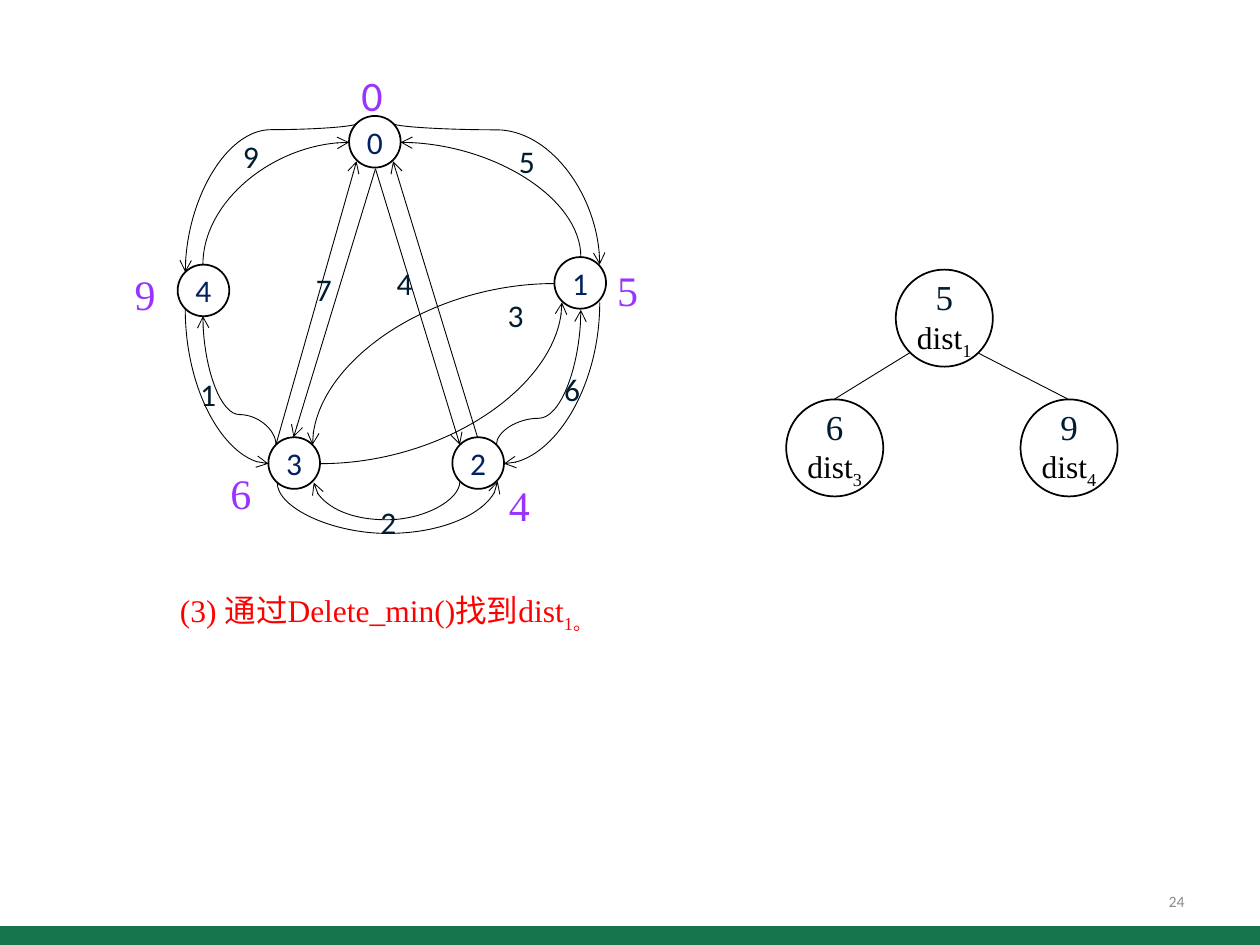
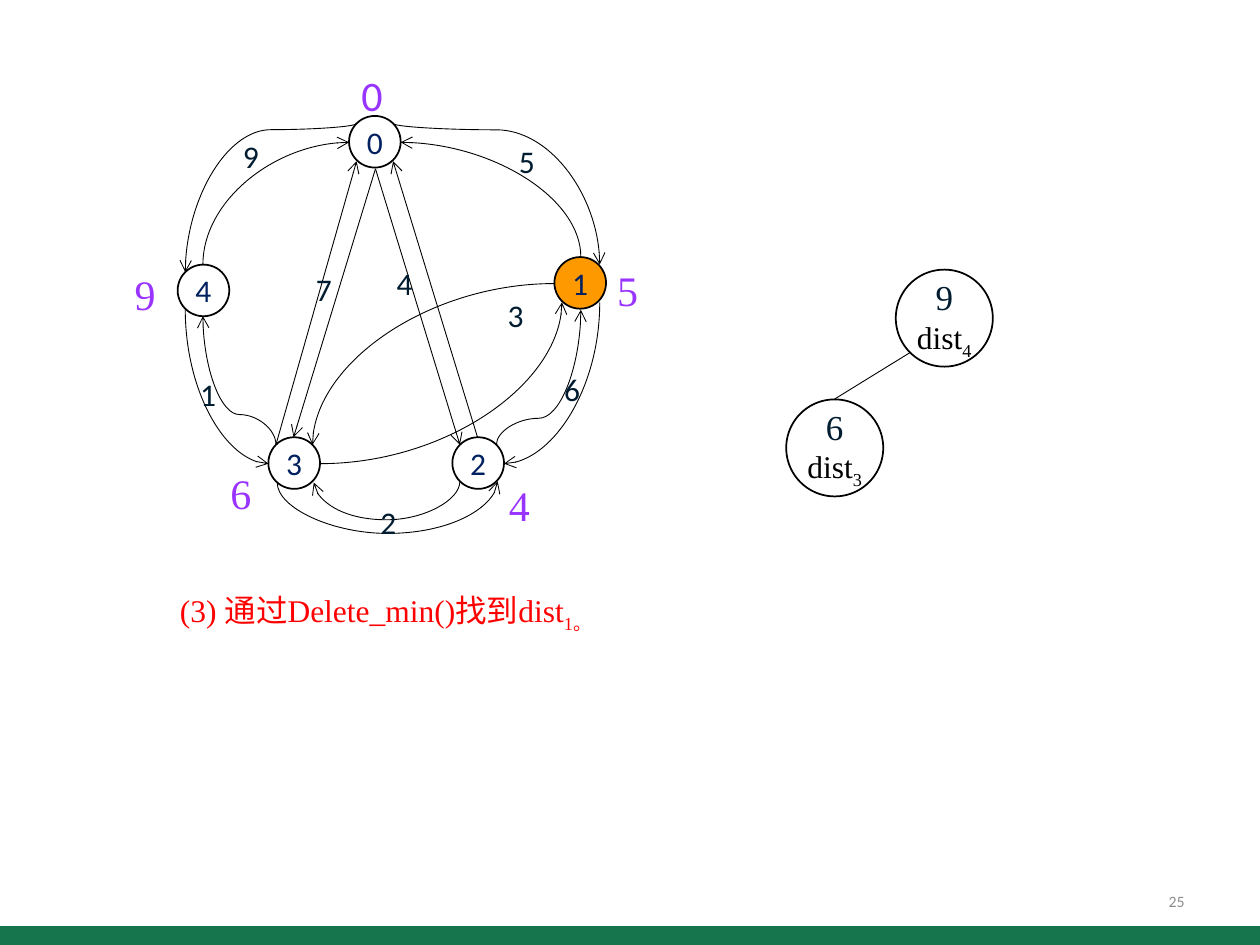
from lxml import etree
from pptx import Presentation
from pptx.dml.color import RGBColor
from pptx.enum.shapes import MSO_CONNECTOR, MSO_SHAPE
from pptx.enum.text import MSO_ANCHOR, PP_ALIGN
from pptx.oxml.ns import qn
from pptx.util import Inches, Pt

STRAIGHT, CURVE = MSO_CONNECTOR.STRAIGHT, MSO_CONNECTOR.CURVE
OVAL, RECTANGLE = MSO_SHAPE.OVAL, MSO_SHAPE.RECTANGLE
MIDDLE, TOP = MSO_ANCHOR.MIDDLE, MSO_ANCHOR.TOP
LEFT, CENTER, RIGHT = PP_ALIGN.LEFT, PP_ALIGN.CENTER, PP_ALIGN.RIGHT

BLACK = RGBColor(0x00, 0x00, 0x00)
GREEN = RGBColor(0x16, 0x75, 0x4D)
NAVY = RGBColor(0x00, 0x20, 0x60)
INK = RGBColor(0x00, 0x1C, 0x30)
PURPLE = RGBColor(0x99, 0x33, 0xFF)
RED = RGBColor(0xFF, 0x00, 0x00)
ORANGE = RGBColor(0xFF, 0x99, 0x00)
GREY = RGBColor(0x8C, 0x8C, 0x8C)

SANS, SERIF = "Calibri", "Times New Roman"
NODE_SIZE, HEAP_SIZE = 0.41, 0.77

# Graph vertices: label -> left, top
VERTICES = {"0": (2.77, 0.92), "4": (1.41, 2.1), "3": (2.13, 3.47),
            "2": (3.59, 3.47), "1": (4.4, 2.04)}

# Edge weights: text, left, top
WEIGHTS = [("9", 1.83, 1.04), ("5", 4.02, 1.08), ("4", 3.05, 2.05),
           ("7", 2.41, 2.09), ("1", 1.49, 2.93), ("2", 2.92, 3.94),
           ("3", 3.93, 2.3), ("6", 4.38, 2.89)]

# Tentative distances beside the vertices: text, left, top, font
DISTANCES = [("0", 2.77, 0.5, SANS), ("5", 4.8, 2.05, SERIF),
             ("4", 3.94, 3.76, SERIF), ("6", 1.73, 3.66, SERIF),
             ("9", 0.97, 2.08, SERIF)]

# Straight edges: start, end, end that carries the arrow
STRAIGHT_EDGES = [((3.65, 3.53), (2.98, 1.34), "head"),
                  ((2.33, 3.47), (2.98, 1.34), "head"),
                  ((2.19, 3.53), (2.83, 1.28), "tail"),
                  ((3.79, 3.47), (3.12, 1.28), "tail")]

# Quarter arcs: start, end, arrow end, whether they leave sideways
ARC_EDGES = [((2.13, 3.68), (1.47, 2.45), "head", True),
             ((4.76, 2.4), (4, 3.68), "tail", False),
             ((4.4, 2.25), (2.48, 3.53), "tail", True),
             ((4.46, 2.4), (2.54, 3.68), "head", False),
             ((2.77, 1.13), (1.61, 2.1), "head", True),
             ((4.61, 2.04), (3.18, 1.13), "tail", False)]

# Bends that leave and arrive vertically: start, end, arrow end, height of the bend
BEND_EDGES = [((2.83, 0.98), (1.47, 2.16), "tail", 1.03),
              ((4.76, 2.1), (3.12, 0.98), "head", 1.03),
              ((3.95, 3.82), (2.2, 3.83), "head", 4.24),
              ((3.65, 3.82), (2.49, 3.83), "tail", 4.13),
              ((2.19, 3.53), (1.61, 2.51), "tail", 3.29),
              ((4.61, 2.46), (3.94, 3.53), "head", 3.32)]

# Heap places (left, top) and the branch from each child to the root
ROOT, LEFT_CHILD, RIGHT_CHILD = (7.11, 2.14), (6.24, 3.17), (8.1, 3.17)
BRANCHES = {LEFT_CHILD: ((6.62, 3.17), (7.22, 2.8)),
            RIGHT_CHILD: ((8.48, 3.17), (7.76, 2.8))}


def add_run(paragraph, text, *, size=18, font=SANS, color=INK, subscript=False):
    run = paragraph.add_run()
    run.text = text
    run.font.size = Pt(size)
    run.font.name = font
    run.font.color.rgb = color
    if subscript:
        run.font._element.set("baseline", "-25000")


def add_text(slide, text, left, top, width, height, *, wrap=False,
             align=LEFT, anchor=TOP, **run_format):
    box = slide.shapes.add_textbox(Inches(left), Inches(top),
                                   Inches(width), Inches(height))
    frame = box.text_frame
    frame.word_wrap = wrap
    frame.vertical_anchor = anchor
    paragraph = frame.paragraphs[0]
    paragraph.alignment = align
    add_run(paragraph, text, **run_format)
    return paragraph


def add_circle(slide, place, size, fill=None):
    """Draw an outlined circle and return its centred paragraph."""
    left, top = place
    circle = slide.shapes.add_shape(OVAL, Inches(left), Inches(top),
                                    Inches(size), Inches(size))
    circle.shadow.inherit = False
    circle.line.color.rgb = BLACK
    circle.line.width = Pt(1)
    if fill is None:
        circle.fill.background()
    else:
        circle.fill.solid()
        circle.fill.fore_color.rgb = fill
    frame = circle.text_frame
    frame.margin_left = frame.margin_right = 0
    frame.margin_top = frame.margin_bottom = 0
    frame.word_wrap = False
    frame.vertical_anchor = MIDDLE
    paragraph = frame.paragraphs[0]
    paragraph.alignment = CENTER
    return paragraph


def add_line(slide, start, end, arrow=None, kind=STRAIGHT):
    line = slide.shapes.add_connector(kind, *map(Inches, (*start, *end)))
    line.line.color.rgb = BLACK
    line.line.width = Pt(0.5)
    properties = line._element.spPr
    etree.SubElement(properties, qn("a:effectLst"))
    if arrow:
        etree.SubElement(line.line._get_or_add_ln(), qn(f"a:{arrow}End"),
                         type="arrow", w="med", len="med")
    return properties


def add_curve(slide, start, end, arrow, *, sideways=False, bend=None):
    """Curve leftwards from start to end: a quarter arc, or an S with a bend."""
    (x1, y1), (x2, y2) = start, end
    width, height = abs(x2 - x1), abs(y2 - y1)
    if sideways:
        turn, flip = 180, y2 > y1
    else:
        turn, flip = (90, False) if y2 > y1 else (270, True)
        width, height = height, width
    left, top = (x1 + x2 - width) / 2, (y1 + y2 - height) / 2
    properties = add_line(slide, (left, top), (left + width, top + height),
                          arrow, CURVE)
    frame = properties.find(qn("a:xfrm"))
    frame.set("rot", str(turn * 60000))
    if flip:
        frame.set("flipV", "1")
    geometry = properties.find(qn("a:prstGeom"))
    if bend is None:
        geometry.set("prst", "curvedConnector2")
    else:
        share = round((bend - y1) / (y2 - y1) * 100000)
        etree.SubElement(geometry.find(qn("a:avLst")), qn("a:gd"),
                         name="adj1", fmla=f"val {share}")


def add_graph(slide, visited):
    for label, place in VERTICES.items():
        fill = ORANGE if label in visited else None
        add_run(add_circle(slide, place, NODE_SIZE, fill), label, color=NAVY)
    for start, end, arrow in STRAIGHT_EDGES:
        add_line(slide, start, end, arrow)
    for start, end, arrow, sideways in ARC_EDGES:
        add_curve(slide, start, end, arrow, sideways=sideways)
    for start, end, arrow, bend in BEND_EDGES:
        add_curve(slide, start, end, arrow, bend=bend)
    for weight, left, top in WEIGHTS:
        add_text(slide, weight, left, top, 0.34, 0.4)
    for distance, left, top, font in DISTANCES:
        add_text(slide, distance, left, top, 0.37, 0.5,
                 size=24, font=font, color=PURPLE)


def add_heap(slide, heap):
    """Draw the heap given as place -> (key, vertex)."""
    for place, (key, vertex) in heap.items():
        paragraph = add_circle(slide, place, HEAP_SIZE)
        add_run(paragraph, key, size=20, font=SERIF)
        paragraph.add_line_break()
        add_run(paragraph, "dist", font=SERIF, color=BLACK)
        add_run(paragraph, vertex, font=SERIF, color=BLACK, subscript=True)
        if place in BRANCHES:
            add_line(slide, *BRANCHES[place])


def add_footer(slide, number):
    band = slide.shapes.add_shape(RECTANGLE, 0, Inches(7.35),
                                  Inches(10), Inches(0.18))
    band.shadow.inherit = False
    band.fill.solid()
    band.fill.fore_color.rgb = GREEN
    band.line.fill.background()
    add_text(slide, str(number), 7.17, 6.95, 2.33, 0.4, wrap=True,
             align=RIGHT, anchor=MIDDLE, size=9, color=GREY)


def add_step(deck, number, heap, visited=()):
    slide = deck.slides.add_slide(deck.slide_layouts[6])
    add_footer(slide, number)
    add_graph(slide, visited)
    add_heap(slide, heap)
    caption = add_text(slide, "(3) 通过Delete_min()找到dist", 1.33, 4.64, 3.98, 0.4,
                       wrap=True, font=SERIF, color=RED)
    add_run(caption, "1。", font=SERIF, color=RED, subscript=True)


def main():
    deck = Presentation()
    deck.slide_width, deck.slide_height = Inches(10), Inches(7.5)
    # The heap before and after its minimum is deleted
    add_step(deck, 24, {ROOT: ("5", "1"), LEFT_CHILD: ("6", "3"),
                        RIGHT_CHILD: ("9", "4")})
    add_step(deck, 25, {ROOT: ("9", "4"), LEFT_CHILD: ("6", "3")}, visited="1")
    deck.save("out.pptx")


if __name__ == "__main__":
    main()
